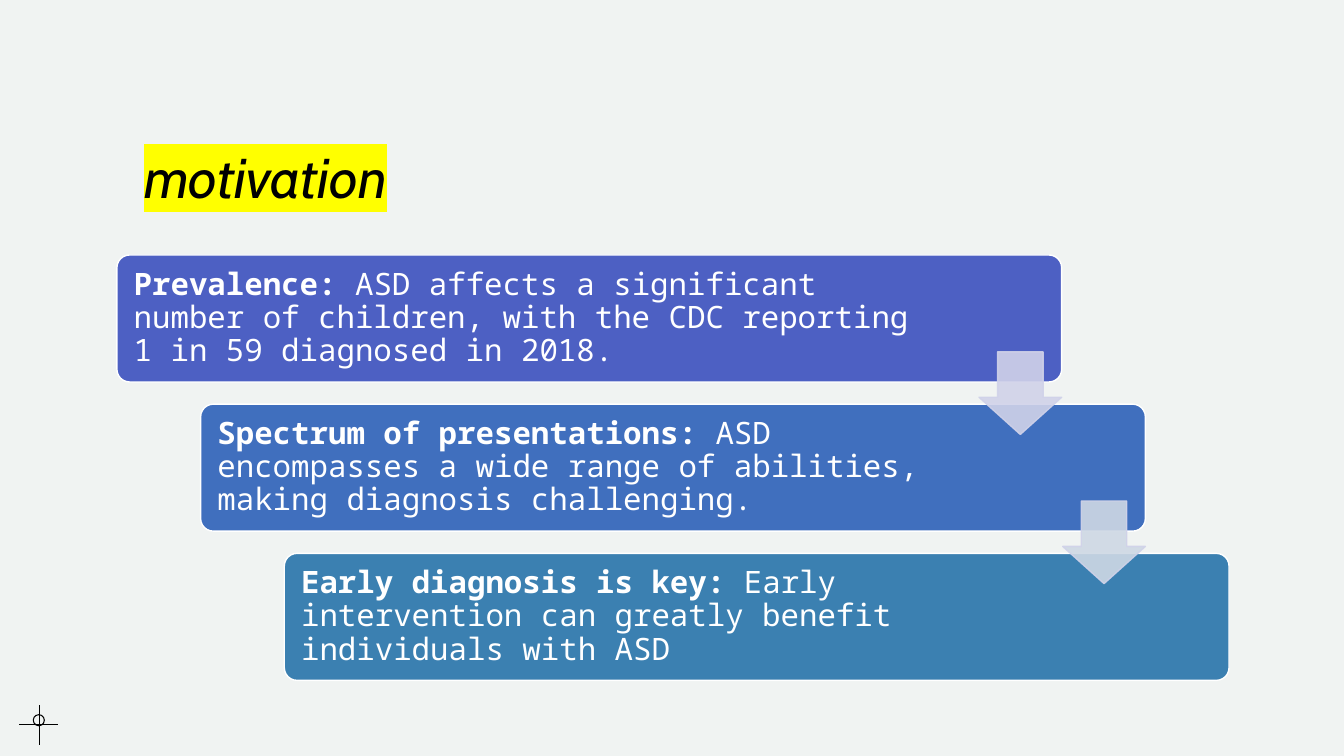
from lxml import etree
from pptx import Presentation
from pptx import util as u
from pptx.dml.color import RGBColor
from pptx.enum import shapes, text
from pptx.oxml.ns import qn

Inches, Pt = u.Inches, u.Pt

COLORS = {
    "background": "F0F3F2",
    "ink": "000000",
    "highlight": "FFFF00",
    "white": "FFFFFF",
    "arrow_line": "D0D2E9",
}
# Lead, body, box colour, right text margin
STEPS = [
    ("Prevalence:",
     " ASD affects a significant number of children, with the CDC reporting 1 in 59 diagnosed in 2018.",
     "4D60C3", 1.42),
    ("Spectrum of presentations:",
     " ASD encompasses a wide range of abilities, making diagnosis challenging.",
     "406FBE", 1.78),
    ("Early diagnosis is key:",
     " Early intervention can greatly benefit individuals with ASD",
     "3B80B1", 1.78),
]
ARROW_FILLS = ["D0D2E9", "CED8E4"]
STEP_LEFT, STEP_TOP = 1.16, 2.53
STEP_DX, STEP_DY = 0.83, 1.48
ARROW_LEFT, ARROW_TOP, ARROW_SIZE = 9.71, 3.49, 0.82


def rgb(value):
    return RGBColor.from_string(value)


def set_opacity(fill_format_parent, percent):
    """Add an alpha value to every solid colour below the XML element."""
    for color in fill_format_parent.iter(qn("a:srgbClr")):
        etree.SubElement(color, qn("a:alpha"), val=str(percent * 1000))


def add_run(paragraph, words, font_name, size, color, bold=False, italic=False, highlight=None):
    run = paragraph.add_run()
    run.text = words
    run.font.size = Pt(size)
    run.font.bold = bold
    run.font.italic = italic
    run.font.color.rgb = rgb(color)
    if highlight:
        # The schema wants the highlight between the fill and the typeface
        marker = etree.SubElement(run.font._element, qn("a:highlight"))
        etree.SubElement(marker, qn("a:srgbClr"), val=highlight)
    run.font.name = font_name


def add_shape(slide, kind, left, top, width, height, line, weight, fill=None):
    shape = slide.shapes.add_shape(
        kind, Inches(left), Inches(top), Inches(width), Inches(height))
    shape.shadow.inherit = False
    if fill:
        shape.fill.solid()
        shape.fill.fore_color.rgb = rgb(fill)
    else:
        shape.fill.background()
    shape.line.color.rgb = rgb(line)
    shape.line.width = Pt(weight)
    return shape


def add_line(slide, x1, y1, x2, y2):
    connector = slide.shapes.add_connector(
        shapes.MSO_CONNECTOR.STRAIGHT, Inches(x1), Inches(y1), Inches(x2), Inches(y2))
    connector.line.color.rgb = rgb(COLORS["ink"])
    connector.line.width = Pt(0.75)
    etree.SubElement(connector._element.spPr, qn("a:effectLst"))


def set_title(slide, words):
    title = slide.shapes.title
    title.left, title.top = Inches(1.33), Inches(0.4)
    title.width, title.height = Inches(10.38), Inches(1.73)
    frame = title.text_frame
    frame.vertical_anchor = text.MSO_ANCHOR.BOTTOM
    paragraph = frame.paragraphs[0]
    paragraph.alignment = text.PP_ALIGN.LEFT
    paragraph.line_spacing = 1.2
    add_run(paragraph, words, "Cabin", 40, COLORS["ink"],
            italic=True, highlight=COLORS["highlight"])


def add_crosshair(slide):
    add_line(slide, 0.19, 7.19, 0.58, 7.19)
    add_line(slide, 0.39, 7.39, 0.39, 6.99)
    add_shape(slide, shapes.MSO_SHAPE.OVAL, 0.33, 7.09, 0.11, 0.11, COLORS["ink"], 0.75)


def add_step(slide, index, lead, body, color, right_margin):
    box = add_shape(slide, shapes.MSO_SHAPE.ROUNDED_RECTANGLE,
                    STEP_LEFT + index * STEP_DX, STEP_TOP + index * STEP_DY,
                    9.37, 1.26, COLORS["white"], 1, color)
    box.adjustments[0] = 0.1
    frame = box.text_frame
    frame.word_wrap = True
    frame.vertical_anchor = text.MSO_ANCHOR.MIDDLE
    frame.margin_left = frame.margin_top = frame.margin_bottom = Inches(0.13)
    frame.margin_right = Inches(right_margin)
    paragraph = frame.paragraphs[0]
    paragraph.alignment = text.PP_ALIGN.LEFT
    paragraph.line_spacing = 0.9
    add_run(paragraph, lead, "Noto Sans Mono", 22, COLORS["white"], bold=True)
    add_run(paragraph, body, "Noto Sans Mono", 22, COLORS["white"])


def add_step_arrow(slide, index, color):
    arrow = add_shape(slide, shapes.MSO_SHAPE.DOWN_ARROW,
                      ARROW_LEFT + index * STEP_DX, ARROW_TOP + index * STEP_DY,
                      ARROW_SIZE, ARROW_SIZE, COLORS["arrow_line"], 1, color)
    # Shaft width, then head length
    arrow.adjustments[0] = 0.55
    arrow.adjustments[1] = 0.45
    set_opacity(arrow._element.spPr, 90)


def main():
    presentation = Presentation()
    presentation.slide_width, presentation.slide_height = Inches(13.33), Inches(7.5)
    slide = presentation.slides.add_slide(presentation.slide_layouts[5])
    slide.background.fill.solid()
    slide.background.fill.fore_color.rgb = rgb(COLORS["background"])
    set_title(slide, "motivation")
    add_crosshair(slide)
    for index, step in enumerate(STEPS):
        add_step(slide, index, *step)
    for index, color in enumerate(ARROW_FILLS):
        add_step_arrow(slide, index, color)
    presentation.save("out.pptx")


if __name__ == "__main__":
    main()
